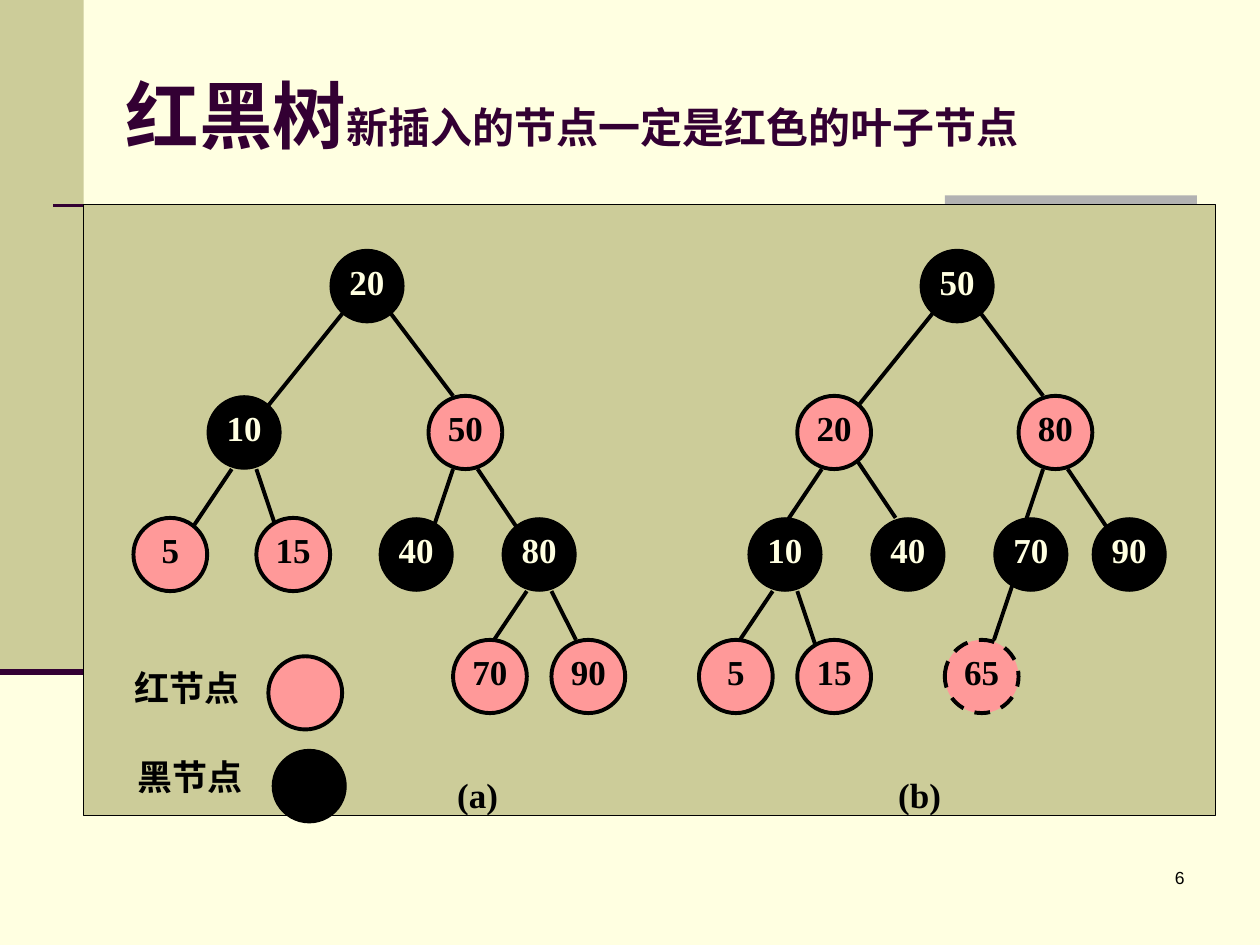
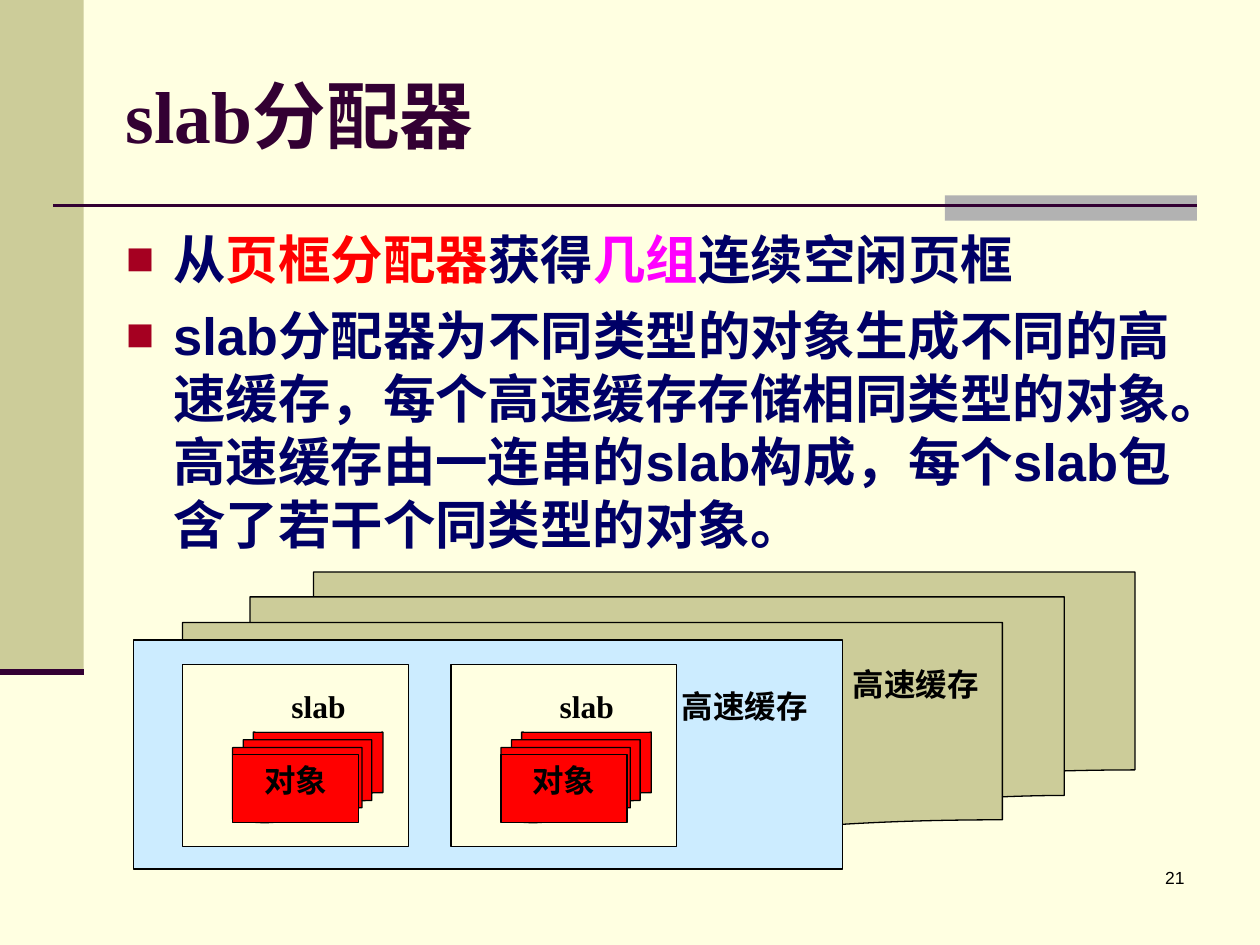
from lxml import etree
from pptx import Presentation
from pptx import util as u
from pptx.dml.color import RGBColor
from pptx.enum import dml, shapes, text
from pptx.oxml.ns import qn

CREAM = RGBColor(0xFF, 0xFF, 0xE1)
KHAKI = RGBColor(0xCC, 0xCC, 0x99)
GREY = RGBColor(0xB2, 0xB2, 0xB2)
PLUM = RGBColor(0x33, 0x00, 0x33)
NAVY = RGBColor(0x00, 0x00, 0x66)
BLACK = RGBColor(0x00, 0x00, 0x00)
PINK = RGBColor(0xFF, 0x99, 0x99)
RED = RGBColor(0xFF, 0x00, 0x00)
MAGENTA = RGBColor(0xFF, 0x00, 0xFF)
SKY = RGBColor(0xCC, 0xEC, 0xFF)

SERIF, SANS, HAN = "Times New Roman", "Arial", "Noto Sans CJK SC"
RECT = shapes.MSO_SHAPE.RECTANGLE
OVAL = shapes.MSO_SHAPE.OVAL
STACK = shapes.MSO_SHAPE.FLOWCHART_MULTIDOCUMENT
LEFT, CENTER, RIGHT = text.PP_ALIGN.LEFT, text.PP_ALIGN.CENTER, text.PP_ALIGN.RIGHT

# Tree grid in cm: a node spans three columns and three rows
GRID_LEFT, GRID_TOP = 2.69, 5.03
COLUMN, ROW = 19.33 / 39, 7.87 / 16
NODE_WIDTH, NODE_HEIGHT = 3 * COLUMN, 3 * ROW


class Deck:
    """Holds the shared style and the slide being filled; lengths are in cm."""

    def __init__(self):
        self.prs = Presentation()
        self.prs.slide_width, self.prs.slide_height = u.Cm(25.4), u.Cm(19.05)
        self.slide = None

    def new_slide(self, title_runs, number):
        self.slide = self.prs.slides.add_slide(self.prs.slide_layouts[6])
        self.slide.background.fill.solid()
        self.slide.background.fill.fore_color.rgb = CREAM
        # Side band, title rule and accent
        self.shape(RECT, 0, 0, 1.69, 13.54, KHAKI, line=0)
        self.shape(RECT, 19.05, 3.94, 5.08, 0.51, GREY, line=0)
        self.line(1.07, 4.14, 24.13, 4.14, PLUM, 1.5)
        self.line(0, 13.54, 1.69, 13.54, PLUM, 3.5)
        # Page number and title
        self.label(18.85, 17.35, 5.28, 1.27, str(number), 10, SANS,
                   align=RIGHT, bold=False)
        title = self.box(2.29, 0.71, 21.59, 3.18)
        title.vertical_anchor = text.MSO_ANCHOR.MIDDLE
        paragraph = title.paragraphs[0]
        for words, size in title_runs:
            self.add_words(paragraph, words, size, SERIF, PLUM)

    def shape(self, kind, x, y, w, h, fill=None, line=0.75, dashed=False):
        item = self.slide.shapes.add_shape(kind, u.Cm(x), u.Cm(y), u.Cm(w), u.Cm(h))
        item.shadow.inherit = False
        if fill is None:
            item.fill.background()
        else:
            item.fill.solid()
            item.fill.fore_color.rgb = fill
        if line:
            item.line.color.rgb = BLACK
            item.line.width = u.Pt(line)
        else:
            item.line.fill.background()
        if dashed:
            item.line.dash_style = dml.MSO_LINE.DASH
        return item

    def line(self, x1, y1, x2, y2, color=BLACK, width=2.25):
        rule = self.slide.shapes.add_connector(
            shapes.MSO_CONNECTOR.STRAIGHT, u.Cm(x1), u.Cm(y1), u.Cm(x2), u.Cm(y2))
        rule.line.color.rgb = color
        rule.line.width = u.Pt(width)
        etree.SubElement(rule._element.spPr, qn("a:effectLst"))

    def box(self, x, y, w, h):
        frame = self.slide.shapes.add_textbox(
            u.Cm(x), u.Cm(y), u.Cm(w), u.Cm(h)).text_frame
        frame.word_wrap = True
        return frame

    def style(self, run, size, font, color, bold=True):
        run.font.size, run.font.bold, run.font.name = u.Pt(size), bold, font
        run.font.color.rgb = color
        etree.SubElement(run.font._element, qn("a:ea"), typeface=HAN)

    def add_words(self, paragraph, words, size, font, color):
        run = paragraph.add_run()
        run.text = words
        self.style(run, size, font, color)

    def set_words(self, frame, words, size, font=SERIF, color=BLACK, align=CENTER,
                  bold=True, margin=None):
        frame.text = words
        frame.vertical_anchor = text.MSO_ANCHOR.TOP
        if margin is not None:
            frame.margin_left = frame.margin_right = u.Cm(margin)
            frame.margin_top = frame.margin_bottom = u.Cm(margin)
        paragraph = frame.paragraphs[0]
        paragraph.alignment = align
        paragraph.line_spacing = u.Pt(1.2 * size)
        self.style(paragraph.runs[0], size, font, color, bold)

    def label(self, x, y, w, h, words, size, font, **options):
        self.set_words(self.box(x, y, w, h), words, size, font, **options)

    def bullets(self, x, y, w, h, items, size):
        frame = self.box(x, y, w, h)
        for index, runs in enumerate(items):
            paragraph = frame.add_paragraph() if index else frame.paragraphs[0]
            paragraph.alignment = LEFT
            paragraph.line_spacing = u.Pt(1.2 * size)
            paragraph.space_before = u.Pt(7.5)
            for words, color in runs:
                self.add_words(paragraph, words, size, SANS, color)
            marks = paragraph._p.get_or_add_pPr()
            marks.set("marL", str(u.Cm(0.95)))
            marks.set("indent", str(u.Cm(-0.95)))
            tint = etree.SubElement(marks, qn("a:buClr"))
            etree.SubElement(tint, qn("a:srgbClr"), val="A50021")
            etree.SubElement(marks, qn("a:buSzPct"), val="90000")
            etree.SubElement(marks, qn("a:buFont"), typeface=SANS)
            etree.SubElement(marks, qn("a:buChar"), char="■")

    def oval_label(self, x, y, w, words):
        oval = self.shape(OVAL, x, y, w, NODE_HEIGHT, line=0)
        self.set_words(oval.text_frame, words, 20, margin=0)

    def node(self, x, y, color, key="", dashed=False):
        """A tree node: thick outline on red ones, pale digits on black ones."""
        dark = color == BLACK
        disc = self.shape(OVAL, x, y, NODE_WIDTH, NODE_HEIGHT, color,
                          0.75 if dark else 2.25, dashed)
        if key:
            self.set_words(disc.text_frame, key, 20,
                           color=CREAM if dark else BLACK, margin=0)

    def tree(self, edges, nodes):
        for c1, r1, c2, r2 in edges:
            self.line(GRID_LEFT + c1 * COLUMN, GRID_TOP + r1 * ROW,
                      GRID_LEFT + c2 * COLUMN, GRID_TOP + r2 * ROW)
        for key, column, row, color in nodes:
            self.node(GRID_LEFT + column * COLUMN, GRID_TOP + row * ROW,
                      color, str(key), dashed=key == 65)

    def slab(self, x):
        """One slab frame with its stack of objects."""
        self.shape(RECT, x, 13.39, 4.55, 3.68, CREAM)
        self.shape(STACK, x + 1.01, 14.76, 3.03, 1.83, RED)
        front = self.shape(RECT, x + 1.01, 15.21, 2.54, 1.37, RED)
        self.set_words(front.text_frame, "对象", 18)
        name = self.shape(RECT, x + 1.47, 13.84, 2.54, 0.91, CREAM, line=0)
        self.set_words(name.text_frame, "slab", 18, margin=0)


# Edges: from column, row to column, row. Nodes: key, column, row, colour.
BEFORE_EDGES = [(9, 2, 5, 7), (10, 2, 13, 6), (4, 9, 2, 12), (5, 9, 6, 12),
                (13, 9, 12, 12), (14, 9, 16, 12), (16, 14, 14, 17), (17, 14, 18, 16)]
BEFORE_NODES = [(20, 8, 0, BLACK), (10, 3, 6, BLACK), (50, 12, 6, PINK),
                (5, 0, 11, PINK), (15, 5, 11, PINK), (40, 10, 11, BLACK),
                (80, 15, 11, BLACK), (70, 13, 16, PINK), (90, 17, 16, PINK)]
AFTER_EDGES = [(33, 2, 29, 7), (34, 2, 37, 6), (28, 9, 26, 12), (29, 8, 31, 11),
               (37, 9, 36, 12), (38, 9, 40, 12), (26, 14, 24, 17),
               (27, 14, 28, 17), (36, 13, 35, 16)]
AFTER_NODES = [(50, 32, 0, BLACK), (20, 27, 6, PINK), (80, 36, 6, PINK),
               (10, 25, 11, BLACK), (40, 30, 11, BLACK), (70, 35, 11, BLACK),
               (90, 39, 11, BLACK), (5, 23, 16, PINK), (15, 27, 16, PINK),
               (65, 33, 16, PINK)]


def red_black_tree(deck):
    deck.new_slide([("红黑树", 42), ("新插入的节点一定是红色的叶子节点", 24)], 6)
    deck.shape(RECT, 1.69, 4.12, 22.81, 12.32, KHAKI)
    deck.tree(BEFORE_EDGES, BEFORE_NODES)
    deck.tree(AFTER_EDGES, AFTER_NODES)
    deck.oval_label(8.64, 15.37, 1.98, "(a)")
    deck.oval_label(17.55, 15.37, 1.98, "(b)")
    # Legend
    deck.node(5.41, 13.23, PINK)
    deck.oval_label(1.9, 13.23, 3.76, "红节点")
    deck.node(5.49, 15.11, BLACK)
    deck.oval_label(2.16, 15.01, 3.33, "黑节点")


def slab_allocator(deck):
    deck.new_slide([("slab分配器", 42)], 21)
    deck.bullets(2.29, 4.45, 21.84, 12.57, [
        [("从", NAVY), ("页框分配器", RED), ("获得", NAVY), ("几组", MAGENTA),
         ("连续空闲页框", NAVY)],
        [("slab分配器为不同类型的对象生成不同的高速缓存，每个高速缓存存储相同类型的对象。"
          "高速缓存由一连串的slab构成，每个slab包含了若干个同类型的对象。", NAVY)],
    ], 30)
    # Caches, the front one opened to show its slabs
    deck.shape(STACK, 3.68, 11.53, 19.2, 5.99, KHAKI)
    deck.shape(RECT, 2.69, 12.9, 14.3, 4.62, SKY)
    for slab_left in (3.68, 9.09):
        deck.slab(slab_left)
    for cache_left, cache_top in ((13.54, 13.84), (16.99, 13.39)):
        deck.label(cache_left, cache_top, 2.95, 1.37, "高速缓存", 18, HAN, margin=0.02)


def main():
    deck = Deck()
    red_black_tree(deck)
    slab_allocator(deck)
    deck.prs.save("out.pptx")


if __name__ == "__main__":
    main()
